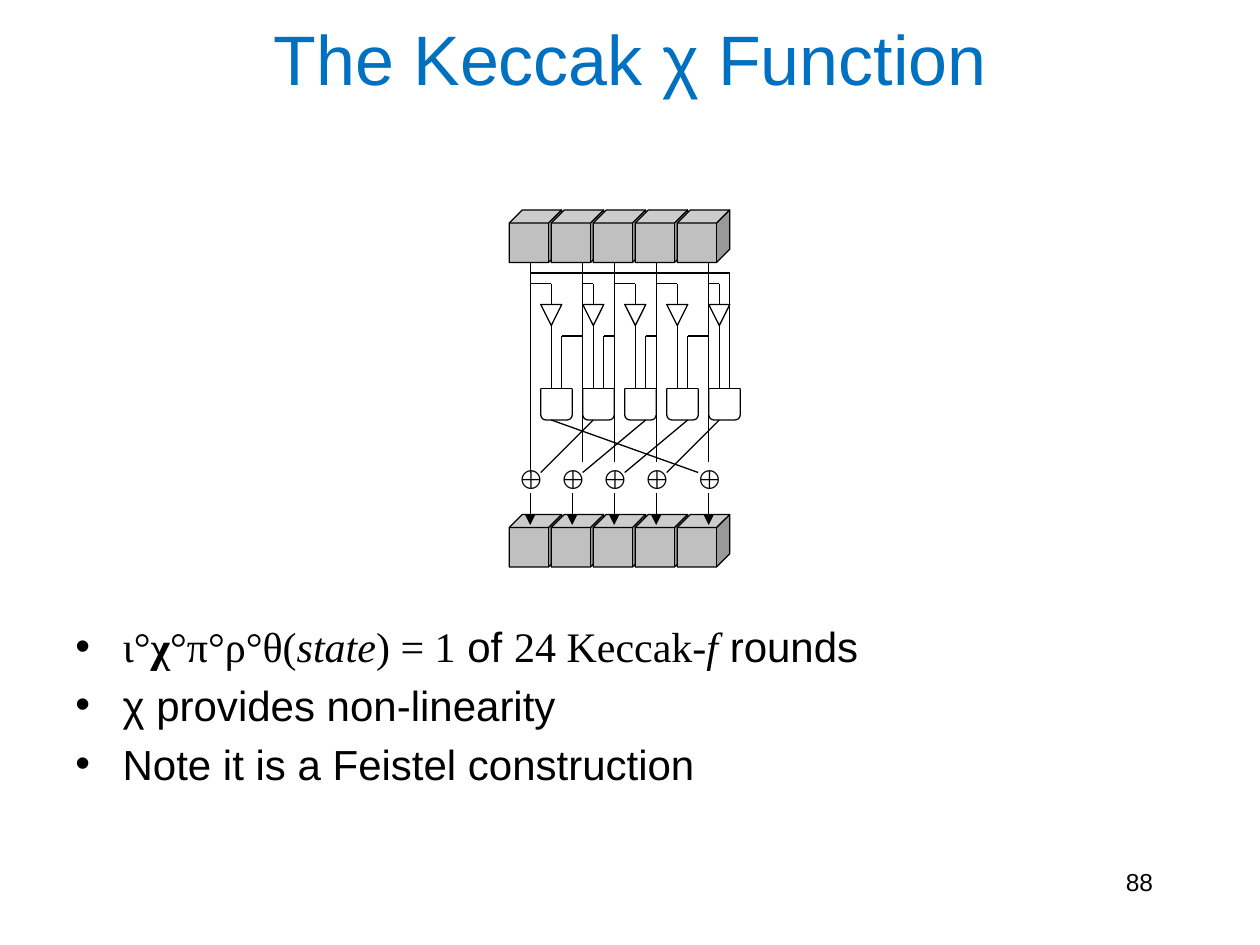
from dataclasses import dataclass

from lxml import etree
from pptx import Presentation
from pptx.dml.color import RGBColor
from pptx.enum.shapes import MSO_CONNECTOR as Connector, MSO_SHAPE as Shape
from pptx.enum.text import MSO_ANCHOR as Anchor, PP_ALIGN as Align
from pptx.oxml.ns import qn
from pptx.util import Pt

PX = 7620  # EMU in one px: 120 px to the inch


@dataclass(frozen=True)
class Theme:
    title: RGBColor = RGBColor(0x00, 0x70, 0xC0)
    ink: RGBColor = RGBColor(0x00, 0x00, 0x00)
    paper: RGBColor = RGBColor(0xFF, 0xFF, 0xFF)
    cube: RGBColor = RGBColor(0xC0, 0xC0, 0xC0)
    sans: str = "Arial"
    serif: str = "Times New Roman"
    mono: str = "Courier New"
    title_size: int = 40
    body_size: int = 24
    xor_size: int = 18
    number_size: int = 14
    line: float = 0.75
    bullet_gap: float = 4.8


THEME = Theme()

# Lanes of the diagram, from left to right
PITCH = 40
WIRES = [505, 555, 585, 625, 675]
XORS = [505, 545, 585, 625, 675]
GATE_OUTPUTS = [525, 565, 615, 655, 685]
LANES = range(len(WIRES))
LAST = LANES[-1]

# Levels of the diagram, from top to bottom
INPUT_TOP = 200
CUBE = 50
WIRE_TOP = INPUT_TOP + CUBE
WRAP_LEVEL = 260  # the first wire runs round to the last gate
INVERTER_LEVEL = 270
INVERTER_TOP, INVERTER = 290, 20
NEIGHBOUR_LEVEL = 320
GATE_TOP, GATE_BOTTOM, GATE_WIDTH = 370, 400, 30
XOR_TOP = 430
WIRE_BOTTOM = 440
XOR_EDGE = 450
ARROW_TOP, ARROW_BOTTOM = 470, 500
OUTPUT_TOP = 490

# Each bullet is a list of (text, font name, style)
BULLETS = [
    [
        ("ι°", THEME.serif, ""),
        ("χ", THEME.serif, "bold"),
        ("°π°ρ°θ(", THEME.serif, ""),
        ("state", THEME.serif, "italic"),
        (") = 1", THEME.serif, ""),
        (" of ", THEME.sans, ""),
        ("24 Keccak-", THEME.serif, ""),
        ("f", THEME.serif, "italic"),
        (" rounds", THEME.sans, ""),
    ],
    [("χ provides non-linearity", THEME.sans, "")],
    [("Note it is a Feistel construction", THEME.sans, "")],
]


def px(*lengths):
    return [length * PX for length in lengths]


def set_font(font, name, size, color=THEME.ink):
    font.name, font.size = name, Pt(size)
    font.color.rgb = color


def add_title(page, text):
    title = page.shapes.title
    title.left, title.top, title.width, title.height = px(60, -20, 1080, 150)
    title.text_frame.text = text
    title.text_frame.vertical_anchor = Anchor.MIDDLE
    para = title.text_frame.paragraphs[0]
    para.alignment = Align.CENTER
    set_font(para.runs[0].font, THEME.sans, THEME.title_size, THEME.title)


def add_label(shapes, text, place, name, size, align):
    box = shapes.add_textbox(*px(*place))
    box.text_frame.word_wrap = True
    box.text_frame.text = text
    para = box.text_frame.paragraphs[0]
    para.alignment = align
    set_font(para.runs[0].font, name, size)


def add_bullet_mark(para):
    [indent] = px(45)
    props = para._p.get_or_add_pPr()
    props.set("marL", str(indent))
    props.set("indent", str(-indent))
    etree.SubElement(props, qn("a:buFont"), typeface=THEME.sans)
    etree.SubElement(props, qn("a:buChar"), char="•")


def add_bullets(page):
    frame = page.shapes.add_textbox(*px(60, 585, 1080, 234)).text_frame
    frame.word_wrap = True
    for index, spans in enumerate(BULLETS):
        para = frame.add_paragraph() if index else frame.paragraphs[0]
        add_bullet_mark(para)
        if index:
            para.space_before = Pt(THEME.bullet_gap)
        for text, name, style in spans:
            span = para.add_run()
            span.text = text
            set_font(span.font, name, THEME.body_size)
            span.font.bold = style == "bold"
            span.font.italic = style == "italic"


def add_block(shapes, kind, place, fill=THEME.paper, outlined=True):
    block = shapes.add_shape(kind, *px(*place))
    block.shadow.inherit = False
    block.fill.solid()
    block.fill.fore_color.rgb = fill
    if outlined:
        block.line.color.rgb = THEME.ink
        block.line.width = Pt(THEME.line)
    else:
        block.line.fill.background()
    return block


def add_wire(shapes, *points, arrow=False):
    """Join the points in turn with straight lines."""
    for start, end in zip(points, points[1:]):
        wire = shapes.add_connector(Connector.STRAIGHT, *px(*start, *end))
        wire.line.color.rgb = THEME.ink
        wire.line.width = Pt(THEME.line)
        if arrow:
            etree.SubElement(wire.line._get_or_add_ln(), qn("a:tailEnd"), type="triangle")
        etree.SubElement(wire._element.spPr, qn("a:effectLst"))


def add_cube_row(shapes, top):
    for lane in LANES:
        add_block(shapes, Shape.CUBE, (485 + lane * PITCH, top, CUBE, CUBE), THEME.cube)


def add_and_gate(shapes, lane):
    """A round-cornered box whose upper corners are masked to a flat top."""
    left = 515 + lane * PITCH
    hidden = 10
    add_block(shapes, Shape.ROUNDED_RECTANGLE,
              (left, GATE_TOP - hidden, GATE_WIDTH, GATE_BOTTOM - GATE_TOP + hidden))
    add_block(shapes, Shape.RECTANGLE,
              (left - 10, GATE_TOP - 2 * hidden, GATE_WIDTH + 20, 2 * hidden),
              outlined=False)
    add_wire(shapes, (left, GATE_TOP), (left + GATE_WIDTH, GATE_TOP))


def add_xor(shapes, lane):
    x = XORS[lane]
    width, align = (30, Align.CENTER) if lane == LAST else (40, Align.LEFT)
    add_label(shapes, "⨁", (x - 20, XOR_TOP, width, 48),
              THEME.mono, THEME.xor_size, align)
    add_wire(shapes, (x, ARROW_TOP), (x, ARROW_BOTTOM), arrow=True)


def add_lane_wire(shapes, lane):
    x = WIRES[lane]
    bottom = WIRE_BOTTOM if lane else XOR_EDGE
    add_wire(shapes, (x, WIRE_TOP), (x, bottom))


def add_inverted_input(shapes, lane):
    x = 525 + lane * PITCH
    inverter = add_block(shapes, Shape.ISOSCELES_TRIANGLE,
                         (x - INVERTER // 2, INVERTER_TOP, INVERTER, INVERTER))
    inverter.rotation = 180
    add_wire(shapes, (WIRES[lane], INVERTER_LEVEL), (x, INVERTER_LEVEL), (x, INVERTER_TOP))
    add_wire(shapes, (x, INVERTER_TOP + INVERTER), (x, GATE_TOP))


def add_neighbour_input(shapes, lane):
    x = 535 + lane * PITCH
    neighbour = WIRES[(lane + 1) % len(WIRES)]
    level = WRAP_LEVEL if lane == LAST else NEIGHBOUR_LEVEL
    add_wire(shapes, (neighbour, level), (x, level), (x, GATE_TOP))


def add_gate_output(shapes, lane):
    """Lead a gate to the XOR one lane to its left, the first to the last."""
    target = XORS[lane - 1] + (10 if lane else -10)
    add_wire(shapes, (GATE_OUTPUTS[lane], GATE_BOTTOM), (target, XOR_EDGE))


def add_diagram(page):
    shapes = page.shapes.add_group_shape().shapes
    for top in (OUTPUT_TOP, INPUT_TOP):
        add_cube_row(shapes, top)
    for add_part in (add_and_gate, add_xor, add_lane_wire, add_inverted_input,
                     add_neighbour_input, add_gate_output):
        for lane in LANES:
            add_part(shapes, lane)


def main():
    deck = Presentation()
    deck.slide_width, deck.slide_height = px(1200, 900)
    page = deck.slides.add_slide(deck.slide_layouts[5])
    add_title(page, "The Keccak χ Function")
    add_bullets(page)
    add_label(page.shapes, "88", (860, 820, 250, 60),
              THEME.sans, THEME.number_size, Align.RIGHT)
    add_diagram(page)
    deck.save("out.pptx")


if __name__ == "__main__":
    main()
